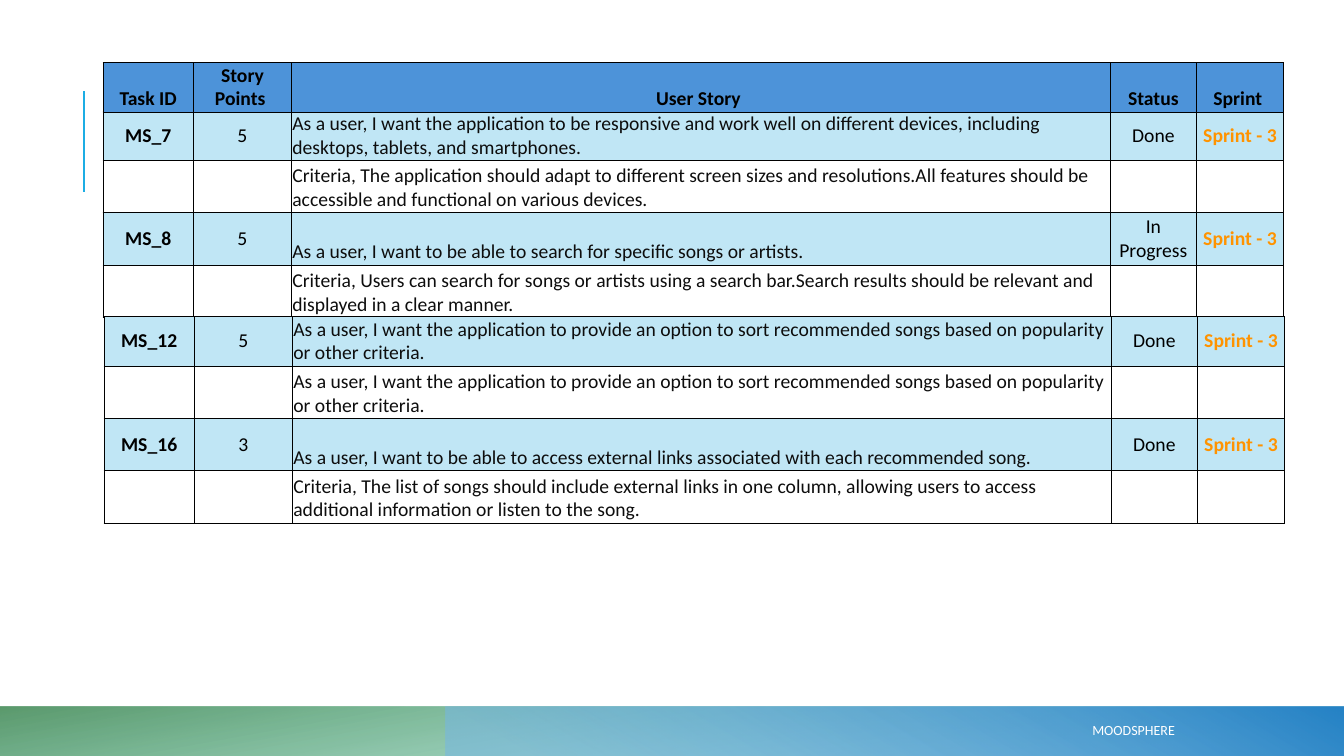
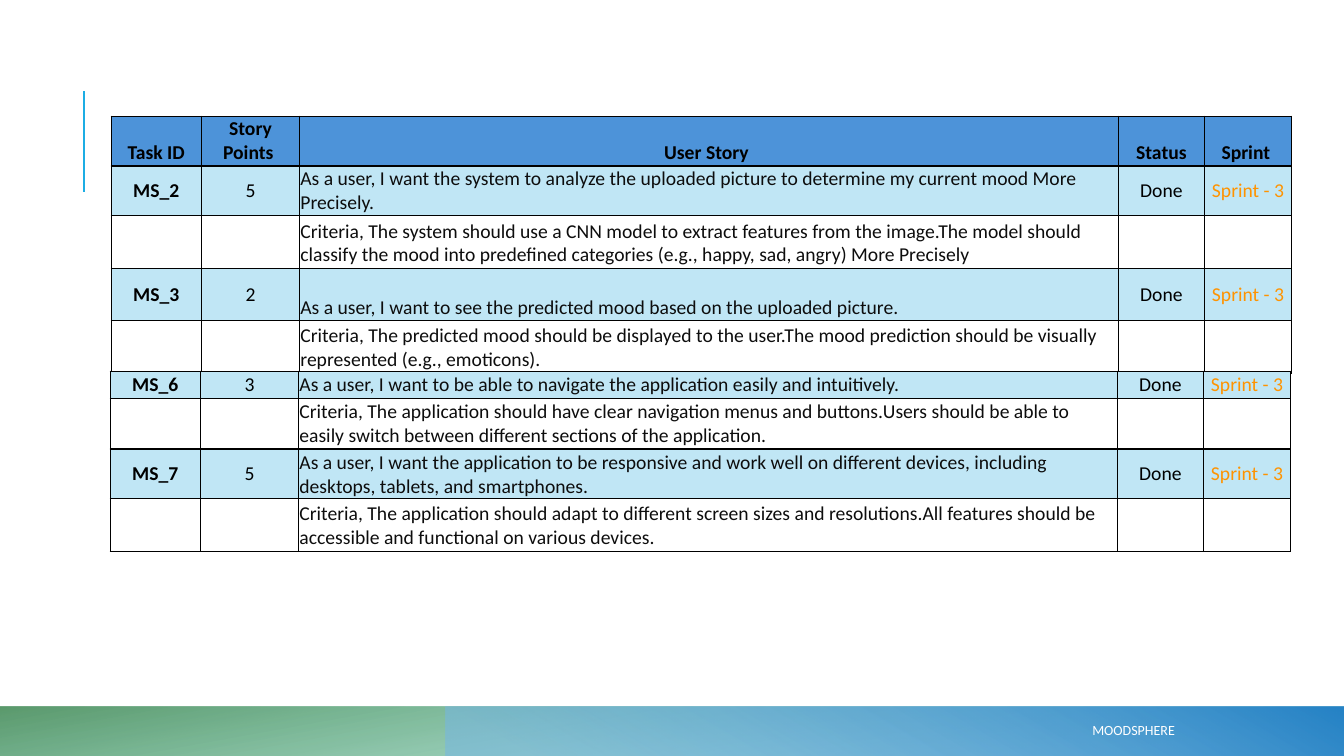
from lxml import etree
from pptx import Presentation
from pptx.dml.color import RGBColor
from pptx.enum import shapes, text
from pptx.oxml import ns, parse_xml
from pptx.util import Inches, Pt

FONT = "Calibri"
BLACK, BODY, WHITE = "000000", "0D0D0D", "FFFFFF"
HEADER_FILL, STORY_FILL = "4D93D9", "C0E6F5"
ORANGE, ACCENT = "FF9300", "1CADE4"
COLUMNS = [0.9, 0.97, 8.12, 0.86, 0.86]
HEADINGS = ["Task ID", "Story Points ", "User Story ", "Status", "Sprint "]
HEADER_HEIGHT = 0.49
SPRINT = "Sprint - 3"
CENTER, LEFT, RIGHT = text.PP_ALIGN.CENTER, text.PP_ALIGN.LEFT, text.PP_ALIGN.RIGHT
MIDDLE, BOTTOM = text.MSO_ANCHOR.MIDDLE, text.MSO_ANCHOR.BOTTOM

RESPONSIVE = (
    "MS_7", "5", "Done",
    "As a user, I want the application to be responsive and work well on different devices, including desktops, tablets, and smartphones.",
    "Criteria, The application should adapt to different screen sizes and resolutions.All features should be accessible and functional on various devices.",
)
SEARCH = (
    "MS_8", "5", "In Progress",
    "As a user, I want to be able to search for specific songs or artists.",
    "Criteria, Users can search for songs or artists using a search bar.Search results should be relevant and displayed in a clear manner.",
)
SORTING = (
    "MS_12", "5", "Done",
    "As a user, I want the application to provide an option to sort recommended songs based on popularity or other criteria.",
    "As a user, I want the application to provide an option to sort recommended songs based on popularity or other criteria.",
)
LINKS = (
    "MS_16", "3", "Done",
    "As a user, I want to be able to access external links associated with each recommended song.",
    "Criteria, The list of songs should include external links in one column, allowing users to access additional information or listen to the song.",
)
ANALYSIS = (
    "MS_2", "5", "Done",
    "As a user, I want the system to analyze the uploaded picture to determine my current mood More Precisely.",
    "Criteria, The system should use a CNN model to extract features from the image.The model should classify the mood into predefined categories (e.g., happy, sad, angry) More Precisely",
)
PREDICTION = (
    "MS_3", "2", "Done",
    "As a user, I want to see the predicted mood based on the uploaded picture.",
    "Criteria, The predicted mood should be displayed to the user.The mood prediction should be visually represented (e.g., emoticons).",
)
NAVIGATION = (
    "MS_6", "3", "Done",
    "As a user, I want to be able to navigate the application easily and intuitively.",
    "Criteria, The application should have clear navigation menus and buttons.Users should be able to easily switch between different sections of the application.",
)


def rgb(value):
    return RGBColor.from_string(value)


def add_run(p, words, size, color, bold=False):
    r = p.add_run()
    r.text = words
    r.font.name = FONT
    r.font.size = Pt(size)
    r.font.bold = bold
    r.font.color.rgb = rgb(color)


def set_gradient(sp, stops, angle):
    marks = "".join(
        f'<a:gs pos="{pos * 1000}"><a:srgbClr val="{color}">'
        f'<a:alpha val="{alpha * 1000}"/></a:srgbClr></a:gs>'
        for pos, color, alpha in stops
    )
    sp.fill.background()
    old = sp._element.spPr.find(ns.qn("a:noFill"))
    old.getparent().replace(old, parse_xml(
        f'<a:gradFill {ns.nsdecls("a")} rotWithShape="1"><a:gsLst>{marks}</a:gsLst>'
        f'<a:lin ang="{angle * 60000}" scaled="0"/></a:gradFill>'
    ))


def add_band(s, left, width, stops, angle, rotation=0):
    sp = s.shapes.add_shape(
        shapes.MSO_SHAPE.RECTANGLE, Inches(left), Inches(7.01), Inches(width), Inches(0.5)
    )
    sp.shadow.inherit = False
    sp.line.fill.background()
    sp.rotation = rotation
    sp._element.spPr.find(ns.qn("a:xfrm")).set("flipH", "1")
    set_gradient(sp, stops, angle)


def add_accent_line(s):
    line = s.shapes.add_connector(
        shapes.MSO_CONNECTOR.STRAIGHT, Inches(0.83), Inches(1.9), Inches(0.83), Inches(0.9)
    )
    line.line.color.rgb = rgb(ACCENT)
    line.line.width = Pt(1.5)
    etree.SubElement(line._element.spPr, ns.qn("a:effectLst"))


def add_footer(s):
    tf = s.shapes.add_textbox(Inches(5.3), Inches(7.09), Inches(6.45), Inches(0.3)).text_frame
    tf.word_wrap = True
    tf.vertical_anchor = MIDDLE
    p = tf.paragraphs[0]
    p.alignment = RIGHT
    add_run(p, "MOODSPHERE", 10, WHITE)


def new_slide(prs):
    s = prs.slides.add_slide(prs.slide_layouts[6])
    add_accent_line(s)
    add_band(s, 0, 13.33, [(14, "42BA97", 28), (100, "3E8853", 85)], 100, 180)
    add_band(s, 4.42, 8.92, [(9, "75B6E5", 55), (99, "2683C6", 100)], 240)
    add_footer(s)
    return s


def add_grid(s, left, top, heights):
    frame = s.shapes.add_table(
        len(heights), len(COLUMNS), Inches(left), Inches(top),
        Inches(sum(COLUMNS)), Inches(sum(heights)),
    )
    table = frame.table
    table.first_row = table.horz_banding = False
    for column, width in zip(table.columns, COLUMNS):
        column.width = Inches(width)
    for row, height in zip(table.rows, heights):
        row.height = Inches(height)
    return table


def set_borders(cell):
    tc_pr = cell._tc.get_or_add_tcPr()
    for side in "LRTB":
        tc_pr.append(parse_xml(
            f'<a:ln{side} {ns.nsdecls("a")} w="{Pt(0.5)}"><a:solidFill>'
            f'<a:srgbClr val="{BLACK}"/></a:solidFill></a:ln{side}>'
        ))


def fill_cell(cell, words="", fill=None, color=BLACK, bold=False, align=CENTER, anchor=MIDDLE):
    cell.margin_left = cell.margin_right = Inches(0.01)
    cell.margin_top = cell.margin_bottom = Inches(0.01)
    cell.vertical_anchor = anchor
    set_borders(cell)
    if fill:
        cell.fill.solid()
        cell.fill.fore_color.rgb = rgb(fill)
    else:
        cell.fill.background()
    p = cell.text_frame.paragraphs[0]
    p.alignment = align
    if words:
        add_run(p, words, 14, color, bold)
    else:
        p.font.size = Pt(14)


def add_header(s, left, top):
    table = add_grid(s, left, top, [HEADER_HEIGHT])
    for cell, heading in zip(table.rows[0].cells, HEADINGS):
        fill_cell(cell, heading, HEADER_FILL, bold=True, anchor=BOTTOM)


def add_stories(s, left, top, heights, stories, bold_sprint):
    table = add_grid(s, left, top, heights)
    for i, (task, points, status, story, criteria) in enumerate(stories):
        cells = table.rows[2 * i].cells
        fill_cell(cells[0], task, STORY_FILL, bold=True)
        fill_cell(cells[1], points, STORY_FILL)
        fill_cell(cells[2], story, STORY_FILL, BODY, align=LEFT, anchor=BOTTOM)
        fill_cell(cells[3], status, STORY_FILL)
        fill_cell(cells[4], SPRINT, STORY_FILL, ORANGE, bold_sprint)
        for j, cell in enumerate(table.rows[2 * i + 1].cells):
            if j == 2:
                fill_cell(cell, criteria, color=BODY, align=LEFT, anchor=BOTTOM)
            else:
                fill_cell(cell)


def main():
    prs = Presentation()
    prs.slide_width, prs.slide_height = Inches(13.33), Inches(7.5)

    s = new_slide(prs)
    add_stories(s, 1.02, 1.1, [0.49, 0.52], [RESPONSIVE], True)
    add_stories(s, 1.02, 2.11, [0.52, 0.52], [SEARCH], True)
    add_stories(s, 1.03, 3.14, [0.49, 0.52, 0.52, 0.52], [SORTING, LINKS], True)
    add_header(s, 1.02, 0.62)

    s = new_slide(prs)
    add_header(s, 1.1, 1.15)
    add_stories(s, 1.1, 1.65, [0.49, 0.52, 0.52, 0.52], [ANALYSIS, PREDICTION], False)
    add_stories(s, 1.09, 3.68, [0.27, 0.5], [NAVIGATION], False)
    add_stories(s, 1.09, 4.46, [0.48, 0.52], [RESPONSIVE], False)

    prs.save("out.pptx")


if __name__ == "__main__":
    main()
